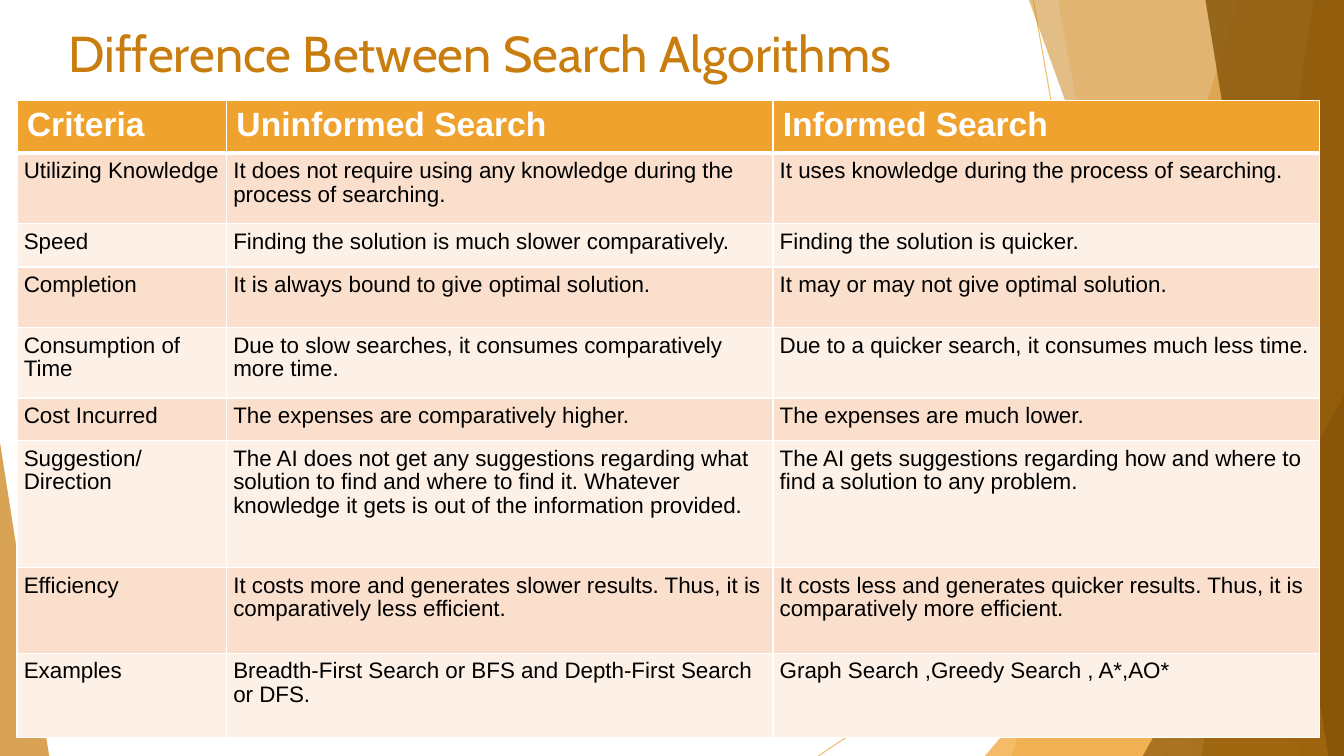
from lxml.etree import SubElement
from pptx import Presentation
from pptx.dml.color import RGBColor
from pptx.enum.shapes import MSO_CONNECTOR, MSO_SHAPE
from pptx.enum.text import MSO_ANCHOR, MSO_AUTO_SIZE, PP_ALIGN
from pptx.oxml.ns import qn
from pptx.util import Cm, Pt

WHITE = RGBColor(0xFF, 0xFF, 0xFF)
BLACK = RGBColor(0x00, 0x00, 0x00)
AMBER = RGBColor(0xF0, 0xA2, 0x2E)
OCHRE = RGBColor(0xC8, 0x7D, 0x0E)
BROWN = RGBColor(0x85, 0x53, 0x09)
PEACH = RGBColor(0xF9, 0xDF, 0xCC)
CREAM = RGBColor(0xFC, 0xF0, 0xE7)

WIDTH, HEIGHT = 33.87, 19.05
COLS = [5.28, 13.77, 13.77]
ROWS = [1.32, 1.78, 1.09, 1.52, 1.78, 1.07, 3.2, 2.16, 2.13]
HEAD_PAD = {"margin_left": Cm(0.25), "margin_right": Cm(0.25),
            "margin_top": Cm(0.13), "margin_bottom": Cm(0.13)}
BODY_PAD = {name: Cm(0.17) for name in HEAD_PAD}
TITLE_FONT = {"name": "Cabin", "size": Pt(36), "bold": False}
HEAD_FONT = {"name": "Arial", "size": Pt(24), "bold": True}
BODY_FONT = {"name": "Arial", "size": Pt(16), "bold": False}

CELLS = [
    ("Criteria", "Uninformed Search", "Informed Search"),
    ("Utilizing Knowledge",
     "It does not require using any knowledge during the process of searching.",
     "It uses knowledge during the process of searching."),
    ("Speed",
     "Finding the solution is much slower comparatively.",
     "Finding the solution is quicker."),
    ("Completion",
     "It is always bound to give optimal solution.",
     "It may or may not give optimal solution."),
    ("Consumption of Time",
     "Due to slow searches, it consumes comparatively more time.",
     "Due to a quicker search, it consumes much less time."),
    ("Cost Incurred",
     "The expenses are comparatively higher.",
     "The expenses are much lower."),
    ("Suggestion/ Direction",
     "The AI does not get any suggestions regarding what solution to find and "
     "where to find it. Whatever knowledge it gets is out of the information provided.",
     "The AI gets suggestions regarding how and where to find a solution to any problem."),
    ("Efficiency",
     "It costs more and generates slower results. Thus, it is comparatively less efficient.",
     "It costs less and generates quicker results. Thus, it is comparatively more efficient."),
    ("Examples",
     "Breadth-First Search or BFS and Depth-First Search or DFS.",
     "Graph Search ,Greedy Search , A*,AO*"),
]


def apply(target, values):
    for name, value in values.items():
        setattr(target, name, value)


def fade(shape, alpha):
    for color in shape._element.spPr.iter(qn("a:srgbClr")):
        SubElement(color, qn("a:alpha"), val=str(alpha * 1000))


def paint(shape, color, alpha):
    shape.shadow.inherit = False
    shape.fill.solid()
    shape.fill.fore_color.rgb = color
    shape.line.fill.background()
    fade(shape, alpha)


def add_ray(slide, *ends):
    ray = slide.shapes.add_connector(MSO_CONNECTOR.STRAIGHT, *map(Cm, ends))
    ray.line.color.rgb = AMBER
    ray.line.width = Pt(0.75)
    fade(ray, 70)
    SubElement(ray._element.spPr, qn("a:effectLst"))


def add_shard(slide, top, foot, color, alpha):
    outline = slide.shapes.build_freeform(Cm(top), Cm(0))
    corners = [(WIDTH, 0), (WIDTH, HEIGHT), (foot, HEIGHT)]
    outline.add_line_segments([(Cm(x), Cm(y)) for x, y in corners])
    paint(outline.convert_to_shape(), color, alpha)


def add_wedge(slide, left, top, width, apex, color, alpha):
    box = map(Cm, (left, top, width, HEIGHT - top))
    wedge = slide.shapes.add_shape(MSO_SHAPE.ISOSCELES_TRIANGLE, *box)
    wedge.adjustments[0] = apex
    paint(wedge, color, alpha)


def set_title(slide, text):
    title = slide.shapes.title
    apply(title, {"left": Cm(1.47), "top": Cm(0.43),
                  "width": Cm(23.88), "height": Cm(3.66)})
    frame = title.text_frame
    frame.text = text
    apply(frame, {"word_wrap": True, "auto_size": MSO_AUTO_SIZE.NONE,
                  "vertical_anchor": MSO_ANCHOR.TOP} | HEAD_PAD)
    line = frame.paragraphs[0]
    line.alignment = PP_ALIGN.LEFT
    apply(line.runs[0].font, TITLE_FONT)
    line.runs[0].font.color.rgb = OCHRE


def add_edges(cell, widths):
    props = cell._tc.get_or_add_tcPr()
    for spot, (side, width) in enumerate(widths.items()):
        edge = props.makeelement(qn(f"a:{side}"), {"w": str(Pt(width))})
        fill = SubElement(edge, qn("a:solidFill"))
        SubElement(fill, qn("a:srgbClr"), val=str(WHITE))
        props.insert(spot, edge)


def fill_cell(cell, text, row):
    head = row == 0
    cell.text = text
    apply(cell, HEAD_PAD if head else BODY_PAD)
    cell.vertical_anchor = MSO_ANCHOR.TOP
    cell.fill.solid()
    cell.fill.fore_color.rgb = AMBER if head else PEACH if row % 2 else CREAM
    line = cell.text_frame.paragraphs[0]
    line.line_spacing = 1.0 if head else 0.95
    font = line.runs[0].font
    apply(font, HEAD_FONT if head else BODY_FONT)
    font.color.rgb = WHITE if head else BLACK
    add_edges(cell, {"lnL": 1, "lnR": 1, "lnT": 3 if row == 1 else 1,
                     "lnB": 3 if head else 1})


def add_grid(slide):
    box = map(Cm, (0.43, 2.54, sum(COLS), sum(ROWS)))
    table = slide.shapes.add_table(len(ROWS), len(COLS), *box).table
    for col, width in zip(table.columns, COLS):
        col.width = Cm(width)
    for row, height in enumerate(ROWS):
        table.rows[row].height = Cm(height)
        for col, text in enumerate(CELLS[row]):
            fill_cell(table.cell(row, col), text, row)


def main():
    deck = Presentation()
    apply(deck, {"slide_width": Cm(WIDTH), "slide_height": Cm(HEIGHT)})
    slide = deck.slides.add_slide(deck.slide_layouts[5])
    add_ray(slide, 26.04, 0, 29.41, HEIGHT)
    add_ray(slide, WIDTH, 10.24, 20.62, HEIGHT)
    add_shard(slide, 31.19, 25.5, AMBER, 36)
    add_shard(slide, 26.67, 30.05, AMBER, 20)
    add_wedge(slide, 24.82, 8.46, 9.05, 1, AMBER, 72)
    add_shard(slide, 25.93, 32.79, OCHRE, 50)
    add_shard(slide, 33.1, 30.28, OCHRE, 70)
    add_shard(slide, 30.38, 33.48, BROWN, 80)
    add_wedge(slide, 28.8, 9.98, 5.07, 1, BROWN, 66)
    add_wedge(slide, 0, 11.15, 1.24, 0, OCHRE, 70)
    set_title(slide, "Difference Between Search Algorithms")
    add_grid(slide)
    deck.save("out.pptx")


if __name__ == "__main__":
    main()
